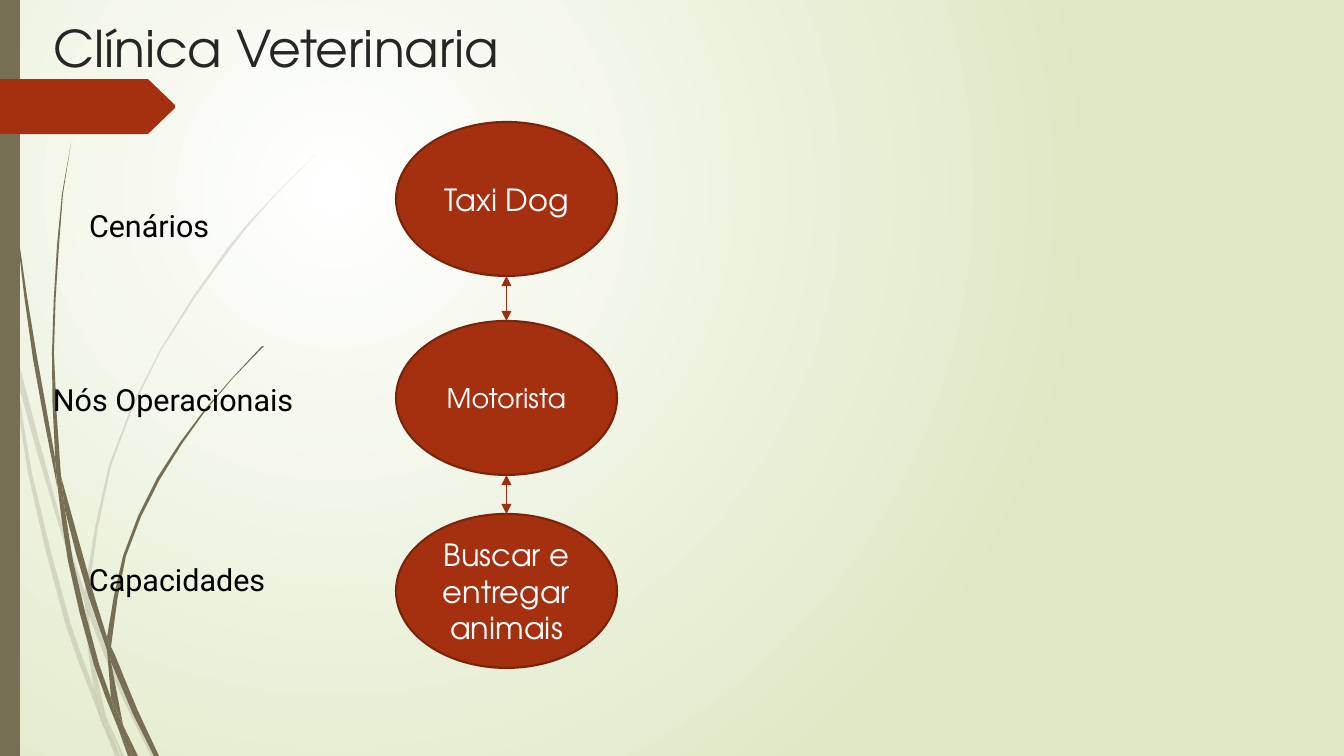
from pptx import Presentation
from pptx.dml.color import RGBColor
from pptx.enum.shapes import MSO_CONNECTOR, MSO_SHAPE
from pptx.enum.text import MSO_ANCHOR, MSO_AUTO_SIZE, PP_ALIGN
from pptx.oxml.ns import qn
from pptx.util import Emu, Pt
from lxml.etree import SubElement

PX = 914400 / 122
WIDTH, HEIGHT = 1344, 756
HEAD_FONT, LABEL_FONT = "TeX Gyre Adventor", "Roboto"
COLORS = {
    "white": "FFFFFF", "pale_green": "DFE8C4", "stalk": "766F54",
    "rust": "A53010", "rust_edge": "7A240C", "arrow": "9E2E0F",
    "title": "262626", "label": "000000",
}

# Outlines of the grass stalks, piece by piece
PALE_STALKS = [
    [(11, 353), (9, 325), (0, 284), (0, 301), (10, 346)],
    [(59, 526), (85, 604), (85, 592), (62, 525), (15, 348), (17, 379)],
    [(93, 612), (89, 601), (89, 616), (123, 699), (151, 756), (156, 756), (128, 698)],
    [(121, 756), (124, 756), (106, 717)],
    [(94, 689), (71, 625), (32, 473), (17, 379), (11, 353), (28, 473), (66, 626),
     (93, 699), (101, 720), (100, 714)],
    [(85, 604), (88, 651), (94, 689), (98, 698), (106, 717), (92, 651), (89, 614)],
    [(89, 589), (111, 466), (161, 351), (231, 248), (271, 200), (315, 155),
     (271, 199), (229, 246), (160, 350), (109, 465), (85, 589), (85, 592), (89, 601)],
    [(101, 720), (115, 756), (120, 756)],
    [(89, 616), (89, 601), (85, 592), (85, 604)],
    [(98, 698), (94, 689), (101, 721), (120, 756), (106, 717)],
]
DARK_STALKS = [
    [(6, 111), (17, 234), (33, 359), (56, 481), (57, 486), (55, 458),
     (37, 357), (18, 234), (7, 110), (4, 0), (2, 0)],
    [(89, 598), (107, 650), (107, 637), (94, 595), (61, 476), (65, 510)],
    [(115, 655), (111, 647), (111, 662), (133, 714), (154, 756), (159, 756), (138, 711)],
    [(111, 698), (99, 664), (73, 561), (65, 510), (57, 482), (68, 561), (94, 665),
     (118, 728), (117, 723)],
    [(61, 476), (54, 353), (59, 246), (63, 194), (71, 143), (62, 194),
     (57, 246), (52, 353), (55, 453), (60, 476)],
    [(134, 756), (138, 756), (123, 725)],
    [(57, 482), (65, 510), (61, 476), (55, 453), (55, 458)],
    [(112, 639), (126, 556), (160, 479), (206, 410), (233, 378), (264, 346),
     (262, 346), (233, 377), (205, 409), (157, 478), (123, 556), (107, 637), (111, 647)],
    [(118, 728), (128, 756), (132, 756)],
    [(107, 650), (111, 698), (123, 725), (111, 662), (110, 656)],
    [(107, 650), (112, 662), (111, 647), (107, 637)],
    [(117, 712), (111, 698), (118, 728), (132, 756), (134, 756), (123, 725)],
]
BANNER = [(0, 79), (148, 79), (175, 105), (175, 108), (148, 134), (0, 134)]

LABELS = [("Cenários", 77, 201, 211), ("Nós Operacionais", 41, 375, 266),
          ("Capacidades", 77, 555, 210)]
NODES = [("Taxi Dog", 122, 18), ("Motorista", 321, 16),
         ("Buscar e entregar animais", 514, 18)]
NODE_LEFT, NODE_W, NODE_H = 396, 221, 154


def emu(px):
    return Emu(round(px * PX))


def rgb(name):
    return RGBColor.from_string(COLORS[name])


def set_font(p, font, size, color):
    p.font.name, p.font.size = font, Pt(size)
    p.font.color.rgb = rgb(color)


def fill_shape(sp, color, alpha=None):
    sp.shadow.inherit = False
    sp.fill.solid()
    sp.fill.fore_color.rgb = rgb(color)
    sp.line.fill.background()
    if alpha:
        clr = next(sp.element.iter(qn("a:srgbClr")))
        SubElement(clr, qn("a:alpha"), val=str(alpha * 1000))


def set_background(slide):
    fill = slide.background.fill
    fill.gradient()
    for stop, color, pos in zip(fill.gradient_stops, ("white", "pale_green"), (0, 1)):
        stop.color.rgb = rgb(color)
        stop.position = pos
    grad = next(slide.element.iter(qn("a:gradFill")))
    grad.remove(grad.find(qn("a:lin")))
    circle = SubElement(grad, qn("a:path"), path="circle")
    SubElement(circle, qn("a:fillToRect"), l="50000", t="50000", r="100000", b="100000")


def tangent(a, b, c, along):
    """Direction at b; a sharp turn keeps the direction of its own segment."""
    turn = (c - b) / (b - a)
    direction = c - a if turn.real > 0.87 * abs(turn) else along
    return direction / abs(direction) * abs(along)


def smooth(points):
    """Add a midpoint on the curve to each long side of a closed outline."""
    z = [complex(*pt) for pt in points]
    n, curve = len(z), []
    for i in range(n):
        a, b, c, d = (z[(i + k) % n] for k in (-1, 0, 1, 2))
        curve.append(b)
        if abs(c - b) > 60:
            bend = tangent(a, b, c, c - b) - tangent(b, c, d, c - b)
            curve.append((b + c) / 2 + bend / 8)
    return [(emu(q.real), emu(q.imag)) for q in curve]


def add_outline(shapes, points, color, alpha=None):
    first, *rest = smooth(points)
    builder = shapes.build_freeform(*first)
    builder.add_line_segments(rest, close=True)
    fill_shape(builder.convert_to_shape(), color, alpha)


def add_stalks(slide, pieces, alpha=None):
    group = slide.shapes.add_group_shape()
    for points in pieces:
        add_outline(group.shapes, points, "stalk", alpha)


def set_title(slide, text):
    sp = slide.shapes.title
    sp.left, sp.top, sp.width, sp.height = map(emu, (41, 11, 711, 96))
    tf = sp.text_frame
    tf.text = text
    tf.auto_size, tf.vertical_anchor = MSO_AUTO_SIZE.NONE, MSO_ANCHOR.TOP
    p = tf.paragraphs[0]
    p.alignment = PP_ALIGN.LEFT
    set_font(p, HEAD_FONT, 29.8, "title")


def add_label(slide, text, left, top, width):
    tf = slide.shapes.add_textbox(*map(emu, (left, top, width, 46))).text_frame
    tf.text = text
    tf.word_wrap, tf.auto_size = False, MSO_AUTO_SIZE.SHAPE_TO_FIT_TEXT
    set_font(tf.paragraphs[0], LABEL_FONT, 18, "label")


def add_node(slide, text, top, size):
    box = map(emu, (NODE_LEFT, top, NODE_W, NODE_H))
    sp = slide.shapes.add_shape(MSO_SHAPE.OVAL, *box)
    fill_shape(sp, "rust")
    sp.line.color.rgb, sp.line.width = rgb("rust_edge"), Pt(1.25)
    tf = sp.text_frame
    tf.text = text
    tf.word_wrap, tf.vertical_anchor = True, MSO_ANCHOR.MIDDLE
    p = tf.paragraphs[0]
    p.alignment = PP_ALIGN.CENTER
    set_font(p, HEAD_FONT, size, "white")


def add_arrow(slide, x, y1, y2):
    ends = map(emu, (x, y1, x, y2))
    cxn = slide.shapes.add_connector(MSO_CONNECTOR.STRAIGHT, *ends)
    cxn.line.color.rgb, cxn.line.width = rgb("arrow"), Pt(0.75)
    ln = next(cxn.element.iter(qn("a:ln")))
    SubElement(ln, qn("a:tailEnd"), type="triangle")
    SubElement(ln.getparent(), qn("a:effectLst"))


def main():
    prs = Presentation()
    prs.slide_width, prs.slide_height = emu(WIDTH), emu(HEIGHT)
    slide = prs.slides.add_slide(prs.slide_layouts[5])

    # Backdrop
    set_background(slide)
    add_stalks(slide, PALE_STALKS, alpha=20)
    add_stalks(slide, DARK_STALKS)
    side_bar = slide.shapes.add_shape(MSO_SHAPE.RECTANGLE, 0, 0, emu(20), emu(HEIGHT))
    fill_shape(side_bar, "stalk")
    add_outline(slide.shapes, BANNER, "rust")

    # Title and row labels
    set_title(slide, "Clínica Veterinaria")
    for label in LABELS:
        add_label(slide, *label)

    # Chain of nodes with arrows both ways
    for node in NODES:
        add_node(slide, *node)
    center = NODE_LEFT + NODE_W / 2
    for (_, upper, _), (_, lower, _) in zip(NODES, NODES[1:]):
        add_arrow(slide, center, lower, upper + NODE_H)
        add_arrow(slide, center, upper + NODE_H, lower)

    prs.save("out.pptx")


main()
